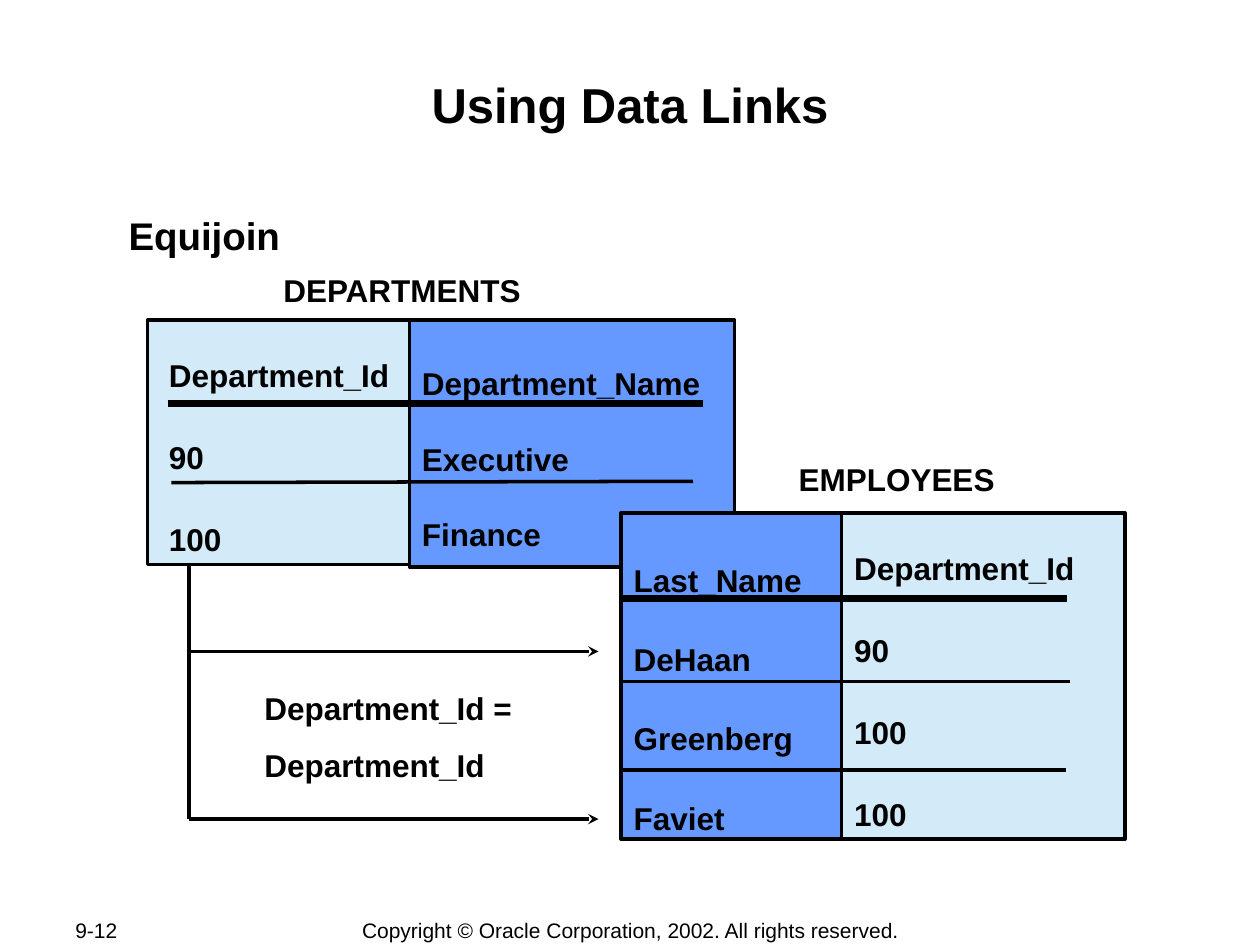
from typing import Any, NamedTuple

from lxml import etree
from pptx import Presentation
from pptx.dml.color import RGBColor
from pptx.enum.shapes import MSO_CONNECTOR, MSO_SHAPE
from pptx.enum.text import MSO_ANCHOR, MSO_AUTO_SIZE, PP_ALIGN
from pptx.oxml.ns import qn
from pptx.util import Inches, Pt

STRAIGHT = MSO_CONNECTOR.STRAIGHT
RECTANGLE = MSO_SHAPE.RECTANGLE
TOP, MIDDLE = MSO_ANCHOR.TOP, MSO_ANCHOR.MIDDLE
NO_AUTOFIT = MSO_AUTO_SIZE.NONE
LEFT, CENTER, JUSTIFY = PP_ALIGN.LEFT, PP_ALIGN.CENTER, PP_ALIGN.JUSTIFY

COLORS = {"black": "000000", "key": "D3EAF8", "data": "6699FF"}
BOLD_18 = {"size": Pt(18), "bold": True}
FOOTER_FONT = {"size": Pt(12), "bold": False}
MARGINS = (0.1, 0.05, 0.1, 0.05)


class Box(NamedTuple):
    left: float
    top: float
    width: float
    height: float


class Column(NamedTuple):
    box: Box
    fill: str
    cells: list[str]
    line_spacing: float
    gap: float = 0
    left_margin: float = 0.1


class Label(NamedTuple):
    box: Box
    lines: list[str]
    font: dict[str, Any] = BOLD_18
    align: PP_ALIGN = LEFT
    anchor: MSO_ANCHOR = TOP


class Line(NamedTuple):
    start: tuple[float, float]
    end: tuple[float, float]
    width: float = 2
    arrow: bool = False


COLUMNS = [
    Column(Box(1.17, 2.54, 2.08, 1.94), "key", ["Department_Id", "90", "100"], 1.8, 7.9, 0.17),
    Column(Box(3.25, 2.54, 2.58, 1.96), "data", ["Department_Name", "Executive", "Finance"], 2),
    Column(Box(4.93, 4.07, 2.08, 2.59), "data", ["Last_Name", "DeHaan", "Greenberg", "Faviet"], 2.1),
    Column(Box(6.68, 4.07, 2.25, 2.59), "key", ["Department_Id", "90", "100", "100"], 1.8, 7.9),
]
LABELS = [
    Label(Box(2.15, 2.1, 2.11, 0.4), ["DEPARTMENTS"]),
    Label(Box(6.24, 3.6, 1.76, 0.4), ["EMPLOYEES"]),
    Label(Box(2, 5.42, 2.24, 0.86), ["Department_Id =", "Department_Id"]),
    Label(Box(0.5, 7.28, 1.06, 0.2), ["9-12"], FOOTER_FONT, JUSTIFY, MIDDLE),
    Label(
        Box(2.76, 7.28, 4.49, 0.21),
        ["Copyright © Oracle Corporation, 2002. All rights reserved."],
        FOOTER_FONT, CENTER, MIDDLE,
    ),
]
JOIN_STEM = Line((1.5, 4.42), (1.5, 6.5))
LINES = [
    Line((1.33, 3.2), (5.58, 3.2), 4),
    Line((1.36, 3.83), (5.5, 3.82)),
    Line((4.94, 4.75), (8.47, 4.75), 4),
    Line((4.94, 5.41), (8.49, 5.41)),
    Line((4.92, 6.11), (8.46, 6.11)),
    Line((1.5, 5.17), (4.75, 5.17), arrow=True),
    Line((1.5, 6.5), (4.75, 6.5), arrow=True),
]


def rgb(name: str) -> RGBColor:
    return RGBColor.from_string(COLORS[name])


def write_text(shape, lines: list[str], font: dict[str, Any], align: PP_ALIGN = LEFT,
               anchor: MSO_ANCHOR = TOP, margins: tuple = MARGINS, wrap: bool = True,
               gap: float = 0, line_spacing: float = 1) -> None:
    """Fill a shape with paragraphs; gap is the space in points between them."""
    frame = shape.text_frame
    frame.text = "\n".join(lines)
    left, top, right, bottom = map(Inches, margins)
    frame_format = {
        "margin_left": left, "margin_top": top, "margin_right": right,
        "margin_bottom": bottom, "vertical_anchor": anchor,
        "auto_size": NO_AUTOFIT, "word_wrap": wrap,
    }
    for name, value in frame_format.items():
        setattr(frame, name, value)
    for index, paragraph in enumerate(frame.paragraphs):
        paragraph.alignment = align
        paragraph.line_spacing = line_spacing
        paragraph.space_before = Pt(gap if index else 0)
        for run in paragraph.runs:
            for name, value in {"name": "Arial", **font}.items():
                setattr(run.font, name, value)
            run.font.color.rgb = rgb("black")


def fill_placeholder(shape, box: Box, text: str, size: int, align: PP_ALIGN,
                     left_margin: float = 0.01) -> None:
    for name, value in box._asdict().items():
        setattr(shape, name, Inches(value))
    write_text(shape, [text], {"size": Pt(size), "bold": True}, align,
               margins=(left_margin, 0.01, 0.01, 0.01))


def remove_bullet(paragraph) -> None:
    properties = paragraph._p.get_or_add_pPr()
    properties.set("marL", "0")
    properties.set("indent", "0")
    etree.SubElement(properties, qn("a:buNone"))


def draw_column(slide, column: Column) -> None:
    shape = slide.shapes.add_shape(RECTANGLE, *map(Inches, column.box))
    shape.shadow.inherit = False
    shape.fill.solid()
    shape.fill.fore_color.rgb = rgb(column.fill)
    shape.line.color.rgb = rgb("black")
    shape.line.width = Pt(2)
    write_text(shape, column.cells, BOLD_18, margins=(column.left_margin, *MARGINS[1:]),
               gap=column.gap, line_spacing=column.line_spacing)


def draw_label(slide, label: Label) -> None:
    shape = slide.shapes.add_textbox(*map(Inches, label.box))
    write_text(shape, label.lines, label.font, label.align, label.anchor,
               wrap=False, gap=11.2)


def draw_line(slide, line: Line) -> None:
    connector = slide.shapes.add_connector(STRAIGHT, *map(Inches, line.start + line.end))
    connector.line.color.rgb = rgb("black")
    connector.line.width = Pt(line.width)
    if line.arrow:
        etree.SubElement(connector.line._get_or_add_ln(), qn("a:tailEnd"), type="stealth")
    etree.SubElement(connector._element.spPr, qn("a:effectLst"))


def main() -> None:
    presentation = Presentation()
    presentation.slide_width, presentation.slide_height = Inches(10), Inches(7.5)
    slide = presentation.slides.add_slide(presentation.slide_layouts[1])
    title, body = slide.placeholders
    fill_placeholder(title, Box(1, 0.58, 8, 0.96), "Using Data Links", 28, CENTER)
    fill_placeholder(body, Box(0.92, 1.67, 8.06, 0.39), "Equijoin", 22, LEFT, 0.1)
    remove_bullet(body.text_frame.paragraphs[0])

    draw_line(slide, JOIN_STEM)
    for column in COLUMNS:
        draw_column(slide, column)
    for label in LABELS:
        draw_label(slide, label)
    for line in LINES:
        draw_line(slide, line)
    presentation.save("out.pptx")


if __name__ == "__main__":
    main()
